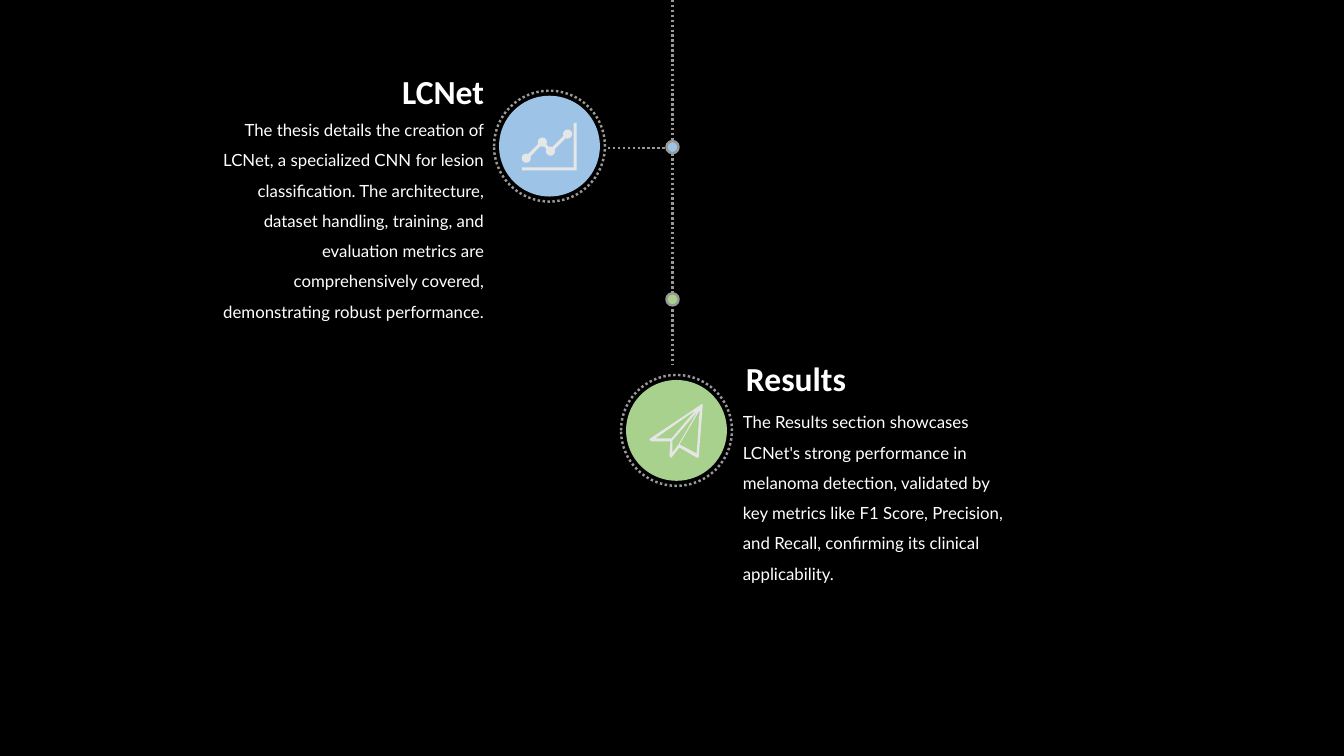
from dataclasses import dataclass
from math import asin, atan2, cos, sin, tau

from lxml.etree import SubElement
from pptx import Presentation
from pptx.dml.color import RGBColor as RGB
from pptx.enum.dml import MSO_LINE
from pptx.enum.shapes import MSO_CONNECTOR, MSO_SHAPE
from pptx.enum.text import MSO_AUTO_SIZE as AUTO, PP_ALIGN as ALIGN
from pptx.oxml.ns import qn
from pptx.util import Inches, Pt


@dataclass(frozen=True)
class Theme:
    background: RGB = RGB(0, 0, 0)
    text: RGB = RGB(255, 255, 255)
    icon: RGB = RGB.from_string("E7E6E6")
    dots: RGB = RGB.from_string("999999")
    blue: RGB = RGB.from_string("9DC3E6")
    green: RGB = RGB.from_string("A9D18E")
    heading: Pt = Pt(24)
    body: Pt = Pt(12)
    stroke: Pt = Pt(1.75)


theme = Theme()
prs = Presentation()
prs.slide_width, prs.slide_height = Inches(13.33), Inches(7.5)
slide = prs.slides.add_slide(prs.slide_layouts[6])
slide.background.fill.solid()
slide.background.fill.fore_color.rgb = theme.background
shapes = slide.shapes


def add_text(text, *, box, size, font, align, bold=False, wrap=True, spacing=None):
    frame = shapes.add_textbox(*map(Inches, box)).text_frame
    frame.word_wrap = wrap
    frame.auto_size = AUTO.SHAPE_TO_FIT_TEXT
    paragraph = frame.paragraphs[0]
    paragraph.alignment = align
    paragraph.line_spacing = spacing
    run = paragraph.add_run()
    run.text = text
    run.font.name, run.font.size, run.font.bold = font, size, bold
    run.font.color.rgb = theme.text


def add_circle(x, y, diameter, *, fill=None, outline=False, dash=None):
    left, top = x - diameter / 2, y - diameter / 2
    circle = shapes.add_shape(MSO_SHAPE.OVAL, *map(Inches, (left, top, diameter, diameter)))
    circle.shadow.inherit = False
    if fill is None:
        circle.fill.background()
    else:
        circle.fill.solid()
        circle.fill.fore_color.rgb = fill
    if outline:
        circle.line.color.rgb = theme.dots
        circle.line.width = theme.stroke
        circle.line.dash_style = dash
    else:
        circle.line.fill.background()


axis_x = 6.67
dotted_lines = [
    (axis_x, 0, axis_x, 1.42),
    (6.03, 1.47, 6.6, 1.47),
    (axis_x, 1.52, axis_x, 2.93),
    (axis_x, 3.07, axis_x, 3.62),
]
for ends in dotted_lines:
    dotted = shapes.add_connector(MSO_CONNECTOR.STRAIGHT, *map(Inches, ends))
    dotted.line.color.rgb = theme.dots
    dotted.line.width = theme.stroke
    dotted.line.dash_style = MSO_LINE.ROUND_DOT
    SubElement(dotted._element.spPr, qn("a:effectLst"))

trend = [(5.22, 1.57), (5.38, 1.41), (5.46, 1.5), (5.63, 1.33)]
marker_radius, half_stroke, arc_steps = 0.045, 0.016, 16
neck = asin(half_stroke / marker_radius)
walk = trend + trend[-2:0:-1]
trend_outline = []
for i, (x, y) in enumerate(walk):
    before, after = walk[i - 1], walk[(i + 1) % len(walk)]
    arrive = atan2(before[1] - y, before[0] - x)
    leave = atan2(after[1] - y, after[0] - x)
    sweep = ((leave - arrive) % tau or tau) - 2 * neck
    for step in range(arc_steps + 1):
        angle = arrive + neck + sweep * step / arc_steps
        trend_outline.append((x + marker_radius * cos(angle), y + marker_radius * sin(angle)))

chart_icon = [
    trend_outline,
    [(5.69, 1.22), (5.72, 1.22), (5.72, 1.69), (5.18, 1.69), (5.18, 1.66), (5.69, 1.66)],
]
plane_icon = [
    [(6.97, 4.01), (6.96, 4.01), (6.45, 4.35), (6.44, 4.36), (6.46, 4.38), (6.65, 4.38),
     (6.64, 4.52), (6.65, 4.54), (6.66, 4.54), (6.74, 4.44), (6.91, 4.54), (6.93, 4.54),
     (6.97, 4.02)],
    [(6.66, 4.35), (6.5, 4.35), (6.9, 4.07)],
    [(6.74, 4.41), (6.94, 4.07), (6.91, 4.5)],
    [(6.67, 4.49), (6.67, 4.37), (6.92, 4.08), (6.73, 4.41)],
]

stages = [
    dict(
        heading="LCNet", heading_box=(3.86, 0.65, 1.04, 0.5),
        body="The thesis details the creation of LCNet, a specialized CNN for lesion "
             "classification. The architecture, dataset handling, training, and evaluation "
             "metrics are comprehensively covered, demonstrating robust performance.",
        body_box=(2.04, 1.04, 2.86, 2.18), align=ALIGN.RIGHT, color=theme.blue,
        dot_y=1.46, badge=(5.45, 1.45), icon=chart_icon,
    ),
    dict(
        heading="Results", heading_box=(7.3, 3.5, 1.21, 0.5),
        body="The Results section showcases LCNet's strong performance in melanoma "
             "detection, validated by key metrics like F1 Score, Precision, and Recall, "
             "confirming its clinical applicability.",
        body_box=(7.27, 3.94, 2.86, 1.88), align=ALIGN.LEFT, color=theme.green,
        dot_y=2.97, badge=(6.71, 4.27), icon=plane_icon,
    ),
]
for stage in stages:
    add_text(stage["heading"], box=stage["heading_box"], size=theme.heading,
             font="Calibri", align=stage["align"], bold=True, wrap=False)
    add_text(stage["body"], box=stage["body_box"], size=theme.body,
             font="Lato", align=stage["align"], spacing=1.5)
    add_circle(axis_x, stage["dot_y"], 0.12, fill=stage["color"], outline=True)
    add_circle(*stage["badge"], 1, fill=stage["color"])

    first, *others = stage["icon"]
    builder = shapes.build_freeform(*map(Inches, first[0]))
    builder.add_line_segments([(Inches(x), Inches(y)) for x, y in first[1:]])
    for contour in others:
        builder.move_to(*map(Inches, contour[0]))
        builder.add_line_segments([(Inches(x), Inches(y)) for x, y in contour[1:]])
    icon = builder.convert_to_shape()
    icon.shadow.inherit = False
    icon.fill.solid()
    icon.fill.fore_color.rgb = theme.icon
    icon.line.fill.background()

    add_circle(*stage["badge"], 1.1, outline=True, dash=MSO_LINE.ROUND_DOT)

prs.save("out.pptx")
